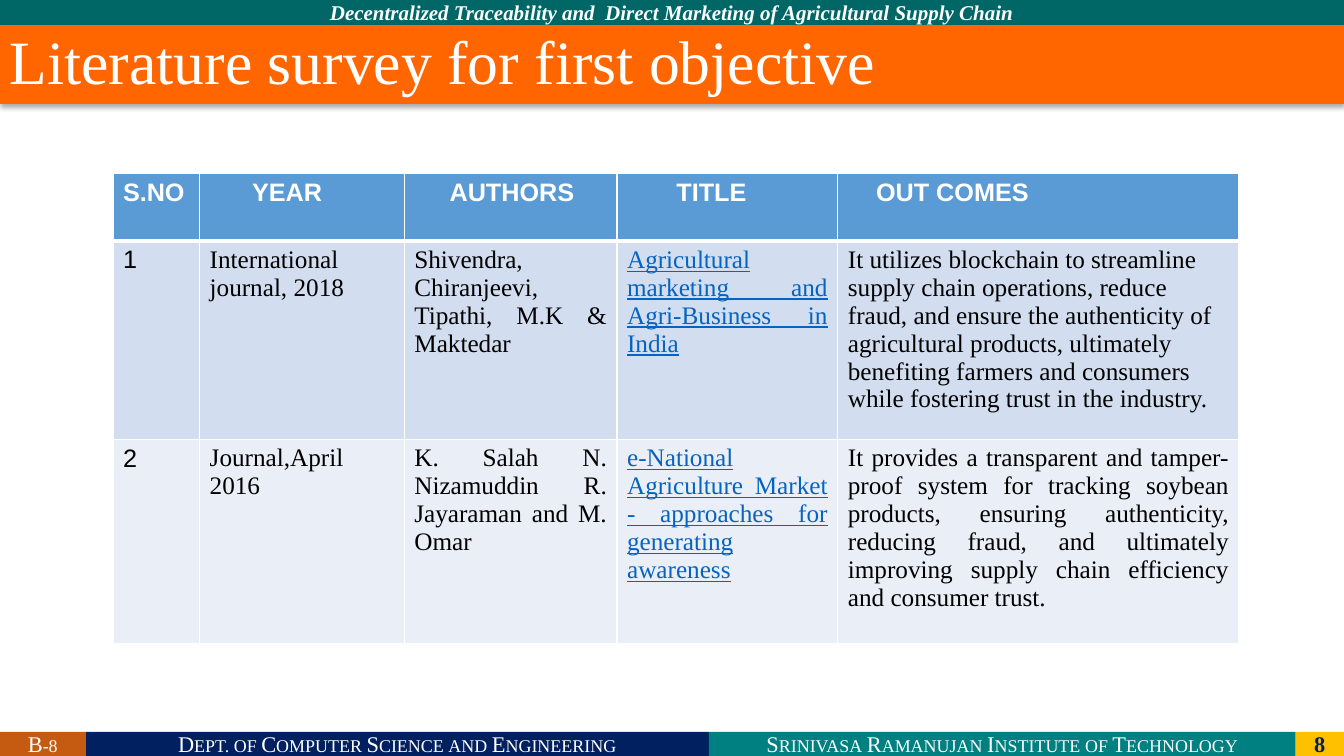
from dataclasses import dataclass

from lxml import etree
from pptx import Presentation
from pptx.dml.color import RGBColor
from pptx.enum.shapes import MSO_SHAPE as Shape
from pptx.enum.text import MSO_ANCHOR as Anchor, PP_ALIGN as Align
from pptx.oxml import parse_xml
from pptx.oxml.ns import nsdecls, qn
from pptx.util import Inches, Pt


@dataclass(frozen=True)
class Theme:
    serif: str = "Times New Roman"
    sans: str = "Arial"
    white: str = "FFFFFF"
    black: str = "000000"
    navy: str = "002060"
    teal: str = "008080"
    dark_teal: str = "006666"
    gold: str = "FFC000"
    rust: str = "C55A11"
    orange: str = "FF6600"
    header: str = "5B9BD5"
    bands: tuple = ("D2DEEF", "EAEFF7")
    link: str = "0563C1"
    title_size: int = 44
    table_size: int = 18
    footer_size: int = 16
    banner_size: int = 15


THEME = Theme()
SLIDE_W, SLIDE_H = 13.33, 7.5
BANNER_H, TITLE_H, FOOTER_H = 0.25, 0.78, 0.24

COLUMN_WIDTHS = (0.86, 2.03, 2.11, 2.19, 3.98)
ROW_HEIGHTS = (0.67, 1.97, 2.03)
CELL_MARGIN = 0.1
# Heading text and its indent in inches
HEADINGS = (("S.NO", 0), ("YEAR", 0.42), ("AUTHORS", 0.35),
            ("TITLE", 0.49), ("OUT COMES", 0.28))
PAPERS = (
    ("1", "International journal, 2018",
     "Shivendra, Chiranjeevi, Tipathi, M.K & Maktedar",
     "Agricultural marketing and Agri-Business in India",
     "It utilizes blockchain to streamline supply chain operations, reduce fraud, "
     "and ensure the authenticity of agricultural products, ultimately benefiting "
     "farmers and consumers while fostering trust in the industry."),
    ("2", "Journal,April 2016",
     "K. Salah N. Nizamuddin R. Jayaraman and M. Omar",
     "e-National Agriculture Market - approaches for generating awareness",
     "It provides a transparent and tamper-proof system for tracking soybean products, "
     "ensuring authenticity, reducing fraud, and ultimately improving supply chain "
     "efficiency and consumer trust."),
)
ALIGNMENTS = (
    (Align.LEFT, Align.JUSTIFY, Align.JUSTIFY, Align.JUSTIFY, Align.LEFT),
    (Align.LEFT, Align.LEFT, Align.JUSTIFY, Align.JUSTIFY, Align.JUSTIFY),
)


def write(frame, text, size, color, font=THEME.serif, align=Align.LEFT,
          bold=False, italic=False, underline=False):
    """Set one paragraph of text and return its run."""
    paragraph = frame.paragraphs[0]
    paragraph.text = text
    paragraph.alignment = align
    run = paragraph.runs[0]
    run.font.name = font
    run.font.size = Pt(size)
    run.font.color.rgb = RGBColor.from_string(color)
    run.font.bold = bold
    run.font.italic = italic
    run.font.underline = underline
    return run


def add_bar(slide, box, fill):
    bar = slide.shapes.add_shape(Shape.RECTANGLE, *map(Inches, box))
    bar.shadow.inherit = False
    bar.fill.solid()
    bar.fill.fore_color.rgb = RGBColor.from_string(fill)
    bar.line.fill.background()
    bar.text_frame.word_wrap = True
    bar.text_frame.vertical_anchor = Anchor.MIDDLE
    return bar


def add_banner(slide, box):
    banner = add_bar(slide, box, THEME.dark_teal)
    write(banner.text_frame,
          "Decentralized Traceability and  Direct Marketing of Agricultural Supply Chain",
          THEME.banner_size, THEME.white, align=Align.CENTER, bold=True, italic=True)


def add_title(slide, box):
    title = add_bar(slide, box, THEME.orange)
    write(title.text_frame, "Literature survey for first objective",
          THEME.title_size, THEME.white, align=Align.JUSTIFY)
    title.text_frame.paragraphs[0].line_spacing = 0.9
    effects = title._element.spPr.find(qn("a:effectLst"))
    effects.append(parse_xml(
        f'<a:outerShdw {nsdecls("a")} blurRad="{Pt(3.5)}" dist="{Pt(2.2)}" dir="5400000" '
        f'algn="t" rotWithShape="0"><a:srgbClr val="{THEME.black}">'
        '<a:alpha val="32000"/></a:srgbClr></a:outerShdw>'))


def add_footer(slide, box):
    left, top, width, height = box
    parts = (
        ("B-8", 0.85, THEME.rust, THEME.white, False),
        ("Dept. of Computer Science and Engineering", 6.18, THEME.navy, THEME.white, False),
        ("Srinivasa Ramanujan Institute of Technology", 5.82, THEME.teal, THEME.white, False),
        ("8", 0.48, THEME.gold, THEME.navy, True),
    )
    for text, part_width, fill, color, is_page_number in parts:
        part = add_bar(slide, (left, top, part_width, height), fill)
        run = write(part.text_frame, text, THEME.footer_size, color,
                    align=Align.CENTER, bold=is_page_number)
        if not is_page_number:
            run.font._element.set("cap", "small")
        left += part_width


def style_cell(cell, fill, top_width=1, bottom_width=1):
    """Fill the cell and give it white borders, with widths in points."""
    cell.fill.solid()
    cell.fill.fore_color.rgb = RGBColor.from_string(fill)
    properties = cell._tc.get_or_add_tcPr()
    widths = {"lnL": 1, "lnR": 1, "lnT": top_width, "lnB": bottom_width}
    for position, (side, width) in enumerate(widths.items()):
        border = etree.Element(qn(f"a:{side}"), w=str(Pt(width)))
        solid = etree.SubElement(border, qn("a:solidFill"))
        etree.SubElement(solid, qn("a:srgbClr"), val=THEME.white)
        properties.insert(position, border)


def add_survey_table(slide, box):
    survey = slide.shapes.add_table(len(ROW_HEIGHTS), len(COLUMN_WIDTHS),
                                    *map(Inches, box)).table
    for column, width in zip(survey.columns, COLUMN_WIDTHS):
        column.width = Inches(width)
    for row, height in zip(survey.rows, ROW_HEIGHTS):
        row.height = Inches(height)

    for column, (heading, indent) in enumerate(HEADINGS):
        cell = survey.cell(0, column)
        style_cell(cell, THEME.header, bottom_width=3)
        cell.margin_left = Inches(CELL_MARGIN + indent)
        write(cell.text_frame, heading, THEME.table_size, THEME.white,
              font=THEME.sans, bold=True)

    for row, (paper, aligns, band) in enumerate(zip(PAPERS, ALIGNMENTS, THEME.bands), 1):
        for column, (text, align) in enumerate(zip(paper, aligns)):
            cell = survey.cell(row, column)
            style_cell(cell, band, top_width=3 if row == 1 else 1)
            is_link = HEADINGS[column][0] == "TITLE"
            write(cell.text_frame, text, THEME.table_size,
                  THEME.link if is_link else THEME.black,
                  font=THEME.sans if column == 0 else THEME.serif,
                  align=align, underline=is_link)


def build_survey_slide(deck):
    slide = deck.slides.add_slide(deck.slide_layouts[6])
    add_footer(slide, (0, SLIDE_H - FOOTER_H, SLIDE_W, FOOTER_H))
    add_banner(slide, (0, 0, SLIDE_W, BANNER_H))
    add_title(slide, (0, BANNER_H, SLIDE_W, TITLE_H))
    add_survey_table(slide, (1.12, 1.72, sum(COLUMN_WIDTHS), sum(ROW_HEIGHTS)))


def main():
    deck = Presentation()
    deck.slide_width = Inches(SLIDE_W)
    deck.slide_height = Inches(SLIDE_H)
    build_survey_slide(deck)
    deck.save("out.pptx")


if __name__ == "__main__":
    main()
